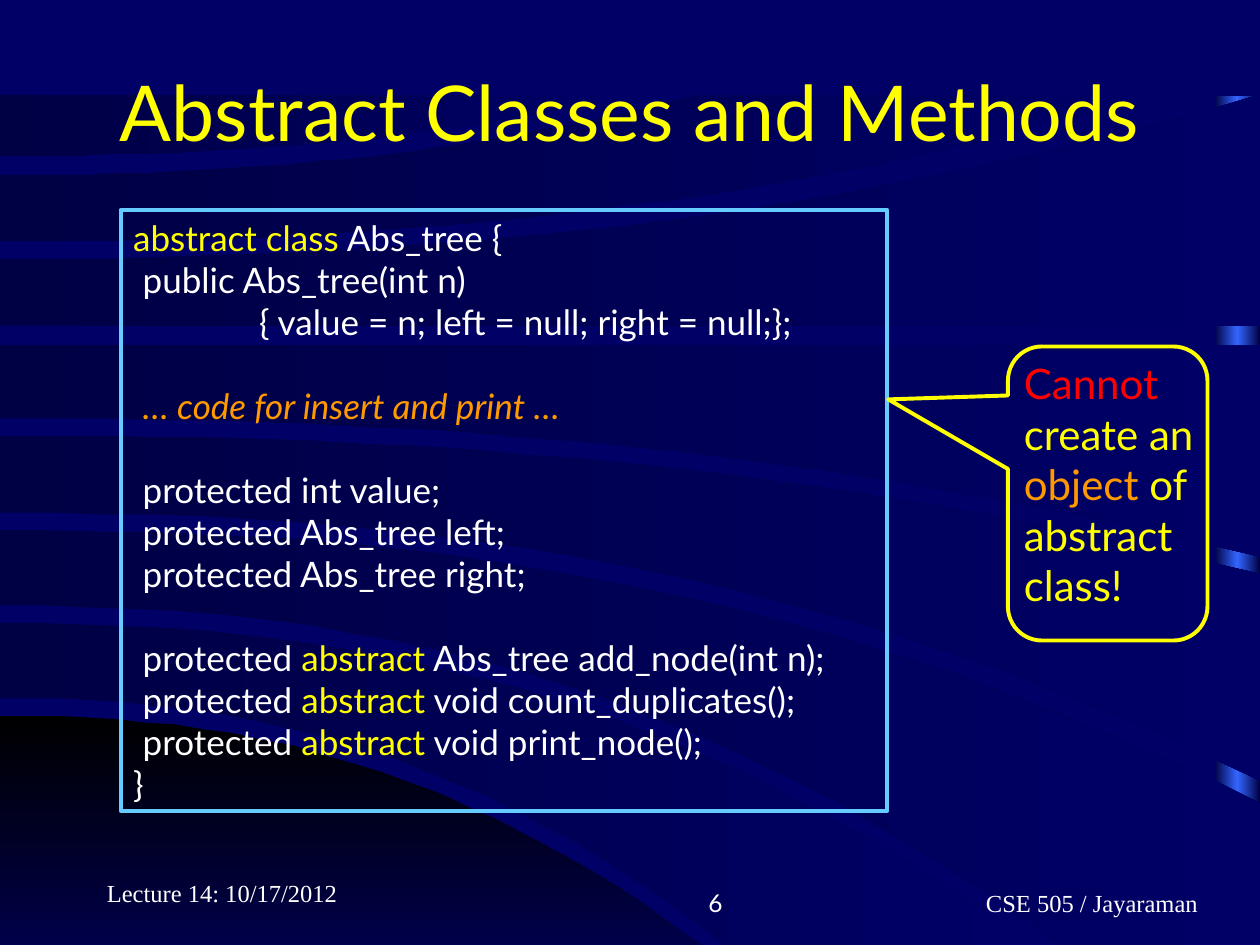
from copy import deepcopy
from pptx import Presentation
from pptx.dml.color import RGBColor as RGB
from pptx.enum.shapes import MSO_SHAPE as SHAPE
from pptx.enum.text import MSO_ANCHOR as ANCHOR, PP_ALIGN as ALIGN
from pptx.util import Pt

INK = {"navy": "000066", "deep": "000044", "dusk": "000048", "black": "000000",
       "blue": "3366FF", "sky": "66CCFF", "white": "FFFFFF",
       "yellow": "FFFF00", "orange": "FF9900", "red": "FF0000"}
SANS, SERIF = "Lato", "Times New Roman"
WIDE, HIGH = 720, 540

# Background bands: upper and lower curve, each as start y, end x, end y
HILL = ((409, 400, HIGH), (HIGH, 0, HIGH))
BANDS = [
    ((356, 591, HIGH), (399, 415, HIGH)),
    ((303, WIDE, 459), (346, 606, HIGH)),
    ((249, WIDE, 328), (293, WIDE, 446)),
    ((197, WIDE, 197), (239, WIDE, 318)),
    ((148, WIDE, 54), (186, WIDE, 186)),
    ((100, 401, 54), (138, 661, 54)),
    ((54, 361, 54), (89, 361, 54)),
]

# Text lines: indent, space before, then runs of (text, colour)
STEP, GAP = 5.5, 24
CODE = [
    (0, 0, [("abstract class", "yellow"), (" Abs_tree {", "white")]),
    (STEP, 0, [("public Abs_tree(int n)", "white")]),
    (72, 0, [("{ value = n; left = null; right = null;};", "white")]),
    (STEP, GAP, [("… code for insert and print …", "orange")]),
    (STEP, GAP, [("protected int value;", "white")]),
    (STEP, 0, [("protected Abs_tree left;", "white")]),
    (STEP, 0, [("protected Abs_tree right;", "white")]),
]
for gap, rest in [(GAP, " Abs_tree add_node(int n);"),
                  (0, " void count_duplicates();"),
                  (0, " void print_node();")]:
    CODE.append((STEP, gap, [("protected ", "white"), ("abstract", "yellow"),
                             (rest, "white")]))
CODE.append((0, 0, [("}", "white")]))

NOTE = [(0, 0, runs) for runs in [
    [("Cannot", "red")], [("create an", "yellow")],
    [("object", "orange"), (" of", "yellow")],
    [("abstract", "yellow")], [("class!", "yellow")]]]


def hue(name):
    return RGB.from_string(INK[name])


def blend(shape, names, angle=0):
    """Fill a shape with evenly spaced gradient stops."""
    shape.shadow.inherit = False
    shape.line.fill.background()
    fill = shape.fill
    fill.gradient()
    fill.gradient_angle = angle
    last = fill.gradient_stops[1]._gs
    for _ in names[2:]:
        last.addnext(deepcopy(last))
    for i, (stop, name) in enumerate(zip(fill.gradient_stops, names)):
        stop.color.rgb = hue(name)
        stop.position = i / (len(names) - 1)


def bend(start, right, end, steps=24):
    """Points of a curve that steepens from the left edge to its end."""
    return [(right * i / steps, start + (end - start) * (i / steps) ** 2.3)
            for i in range(steps + 1)]


def band(slide, top, base, names, angle=0):
    corner = (max(top[1], base[1]), max(top[2], base[2]))
    dots = bend(*top) + [corner] + bend(*base)[::-1]
    pen = slide.shapes.build_freeform(*dots[0], scale=Pt(1))
    pen.add_line_segments(dots[1:], close=True)
    blend(pen.convert_to_shape(), names, angle)


def frame(slide, kind, box, name):
    """Add an outlined shape without fill."""
    shape = slide.shapes.add_shape(kind, *map(Pt, box))
    shape.shadow.inherit = False
    shape.fill.background()
    shape.line.color.rgb = hue(name)
    shape.line.width = Pt(2.25)
    return shape


def write(shape, lines, size, font=SANS, align=ALIGN.LEFT, anchor=ANCHOR.TOP,
          wrap=True):
    text = shape.text_frame
    text.word_wrap = wrap
    text.vertical_anchor = anchor
    for i, (indent, gap, runs) in enumerate(lines):
        para = text.add_paragraph() if i else text.paragraphs[0]
        para.alignment = align
        para.space_before = Pt(gap)
        if indent:
            props = para._p.get_or_add_pPr()
            props.set("marL", str(Pt(indent)))
            props.set("indent", "0")
        for words, name in runs:
            run = para.add_run()
            run.text = words
            run.font.size = Pt(size)
            run.font.name = font
            run.font.color.rgb = hue(name)
            run.font.italic = words.startswith("…")


def label(slide, box, words, font, align):
    shape = slide.shapes.add_textbox(*map(Pt, box))
    write(shape, [(0, 0, [(words, "white")])], 14, font, align, ANCHOR.BOTTOM)


def main():
    deck = Presentation()
    deck.slide_width, deck.slide_height = Pt(WIDE), Pt(HIGH)
    slide = deck.slides.add_slide(deck.slide_layouts[5])

    # Background
    back = slide.background.fill
    back.solid()
    back.fore_color.rgb = hue("navy")
    strip = slide.shapes.add_shape(SHAPE.RECTANGLE, Pt(694), Pt(55),
                                   Pt(WIDE - 694), Pt(HIGH - 55))
    blend(strip, ["deep", "blue", "deep"])
    band(slide, *HILL, ["black", "dusk"], 270)
    for pair in BANDS:
        band(slide, *pair, ["deep", "navy"])

    # Title, brought in front of the background
    title = slide.shapes.title
    slide.shapes.element.append(title.element)
    title.left, title.top, title.width, title.height = map(Pt, (54, 18, 612, 90))
    write(title, [(0, 0, [("Abstract Classes and Methods", "yellow")])], 44,
          align=ALIGN.CENTER, anchor=ANCHOR.MIDDLE)

    # Code box
    code = frame(slide, SHAPE.RECTANGLE, (69, 120, 438, 343.5), "sky")
    write(code, CODE, 20)

    # Callout and its text
    call = frame(slide, SHAPE.ROUNDED_RECTANGULAR_CALLOUT,
                 (576, 198, 114, 168), "yellow")
    for i, value in enumerate((-1.1, -0.32, 0.17)):
        call.adjustments[i] = value
    note = slide.shapes.add_textbox(*map(Pt, (578, 201, 119.5, 151)))
    write(note, NOTE, 24, wrap=False)

    # Footer
    label(slide, (54, 486, 150, 36), "Lecture 14: 10/17/2012", SERIF, ALIGN.LEFT)
    label(slide, (270, 492, 150, 36), "6", SANS, ALIGN.RIGHT)
    label(slide, (546, 492, 156, 36), "CSE 505 / Jayaraman", SERIF, ALIGN.CENTER)

    deck.save("out.pptx")


if __name__ == "__main__":
    main()
